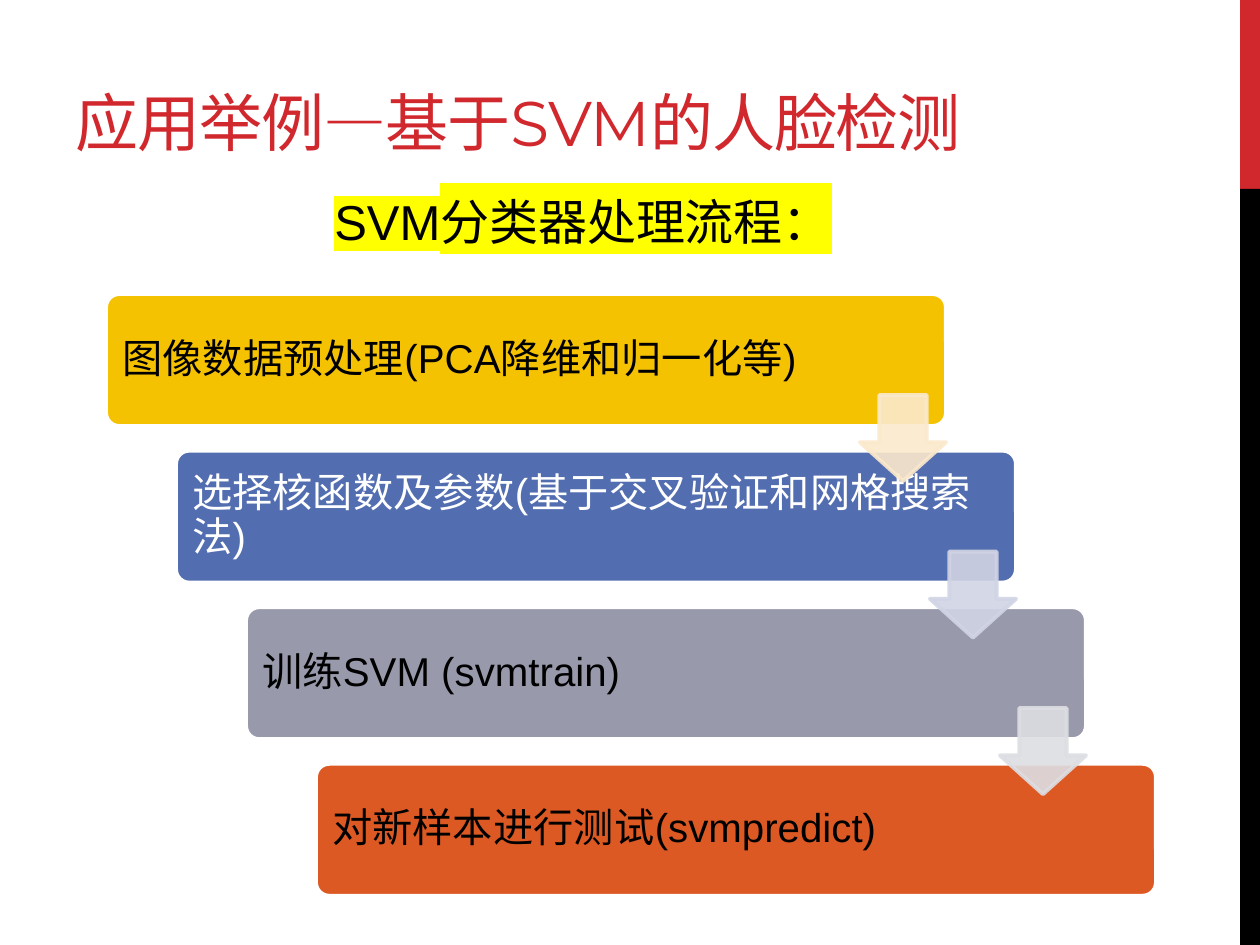
import pptx
import pptx.dml.color
import pptx.enum.shapes
import pptx.enum.text
import pptx.oxml
import pptx.oxml.ns
import pptx.util

SHAPES = pptx.enum.shapes.MSO_SHAPE
ANCHOR = pptx.enum.text.MSO_ANCHOR
FIT = pptx.enum.text.MSO_AUTO_SIZE
ALIGN = pptx.enum.text.PP_ALIGN
NAMESPACE = pptx.oxml.ns.nsdecls("a")

STEPS = [
    ("图像数据预处理(PCA降维和归一化等)", "F5C201", "000000"),
    ("选择核函数及参数(基于交叉验证和网格搜索法)", "526DB0", "FFFFFF"),
    ("训练SVM (svmtrain)", "989AAC", "000000"),
    ("对新样本进行测试(svmpredict)", "DC5924", "000000"),
]
ARROW_COLORS = ["FBE9CC", "D1D4E4", "DDDEE3"]
STEP_RIGHT, STEP_DOWN = 70, 156.6


def emu(px):
    return pptx.util.Emu(round(px * 914400 / 126))


def rgb(color):
    return pptx.dml.color.RGBColor.from_string(color)


def apply(target, formats):
    for name, value in formats.items():
        setattr(target, name, value)


class SlideBuilder:
    """Holds the text style and the slide being filled."""

    body_font = "Arial"
    title_font = "Montserrat"

    def __init__(self, slide):
        self.slide = slide

    def add_text(self, shape, text, size, color, font, frame_formats, line_spacing=None):
        frame = shape.text_frame
        apply(frame, {"word_wrap": True, **frame_formats})
        para = frame.paragraphs[0]
        apply(para, {"alignment": ALIGN.LEFT, "line_spacing": line_spacing})
        span = para.add_run()
        span.text = text
        apply(span.font, {"size": pptx.util.Pt(size), "name": font})
        span.font.color.rgb = rgb(color)
        return span

    def title(self, text, left, top, width, height):
        title = self.slide.shapes.title
        apply(title, {"left": emu(left), "top": emu(top),
                      "width": emu(width), "height": emu(height)})
        span = self.add_text(title, text, 36, "D1282E", self.title_font,
                             {"vertical_anchor": ANCHOR.BOTTOM, "auto_size": FIT.NONE})
        span.font._element.set("spc", "-60")

    def heading(self, text, *bounds):
        box = self.slide.shapes.add_textbox(*map(emu, bounds))
        span = self.add_text(box, text, 28, "000000", self.body_font,
                             {"auto_size": FIT.SHAPE_TO_FIT_TEXT})
        highlight = pptx.oxml.parse_xml(
            f'<a:highlight {NAMESPACE}><a:srgbClr val="FFFF00"/></a:highlight>')
        fill = span.font._element.find(pptx.oxml.ns.qn("a:solidFill"))
        fill.addnext(highlight)

    def shape(self, kind, color, bounds, adjustments=(), outline=None):
        shape = self.slide.shapes.add_shape(kind, *map(emu, bounds))
        shape.shadow.inherit = False
        for index, value in enumerate(adjustments):
            shape.adjustments[index] = value
        shape.fill.solid()
        shape.fill.fore_color.rgb = rgb(color)
        if outline:
            shape.line.color.rgb = rgb(outline)
            shape.line.width = pptx.util.Pt(2.25)
        else:
            shape.line.fill.background()
        return shape

    def step(self, text, color, text_color, *bounds):
        box = self.shape(SHAPES.ROUNDED_RECTANGLE, color, bounds, [0.1], "FFFFFF")
        margins = dict.fromkeys(
            ["margin_left", "margin_top", "margin_right", "margin_bottom"],
            pptx.util.Inches(0.1))
        self.add_text(box, text, 23, text_color, self.body_font,
                      {"vertical_anchor": ANCHOR.MIDDLE, **margins}, 0.9)

    def arrow(self, color, *bounds):
        """Add a down arrow whose fill and outline are 90% opaque."""
        arrow = self.shape(SHAPES.DOWN_ARROW, color, bounds, [0.55, 0.45], color)
        for node in arrow._element.spPr.iter(pptx.oxml.ns.qn("a:srgbClr")):
            node.append(pptx.oxml.parse_xml(f'<a:alpha {NAMESPACE} val="90000"/>'))


def main():
    deck = pptx.Presentation()
    apply(deck, {"slide_width": emu(1260), "slide_height": emu(945)})
    builder = SlideBuilder(deck.slides.add_slide(deck.slide_layouts[5]))

    builder.shape(SHAPES.RECTANGLE, "D1282E", (1240, 0, 20, 189))
    builder.shape(SHAPES.RECTANGLE, "000000", (1240, 189, 20, 756))
    builder.title("应用举例—基于SVM的人脸检测", 63, -24, 1143, 189)

    for index, (text, color, text_color) in enumerate(STEPS):
        builder.step(text, color, text_color, 106 + index * STEP_RIGHT,
                     294 + index * STEP_DOWN, 840, 132)
    for index, color in enumerate(ARROW_COLORS):
        builder.arrow(color, 860 + index * STEP_RIGHT,
                      395 + index * STEP_DOWN, 86, 86)

    builder.heading("SVM分类器处理流程：", 322, 185, 706, 72)
    deck.save("out.pptx")


if __name__ == "__main__":
    main()
